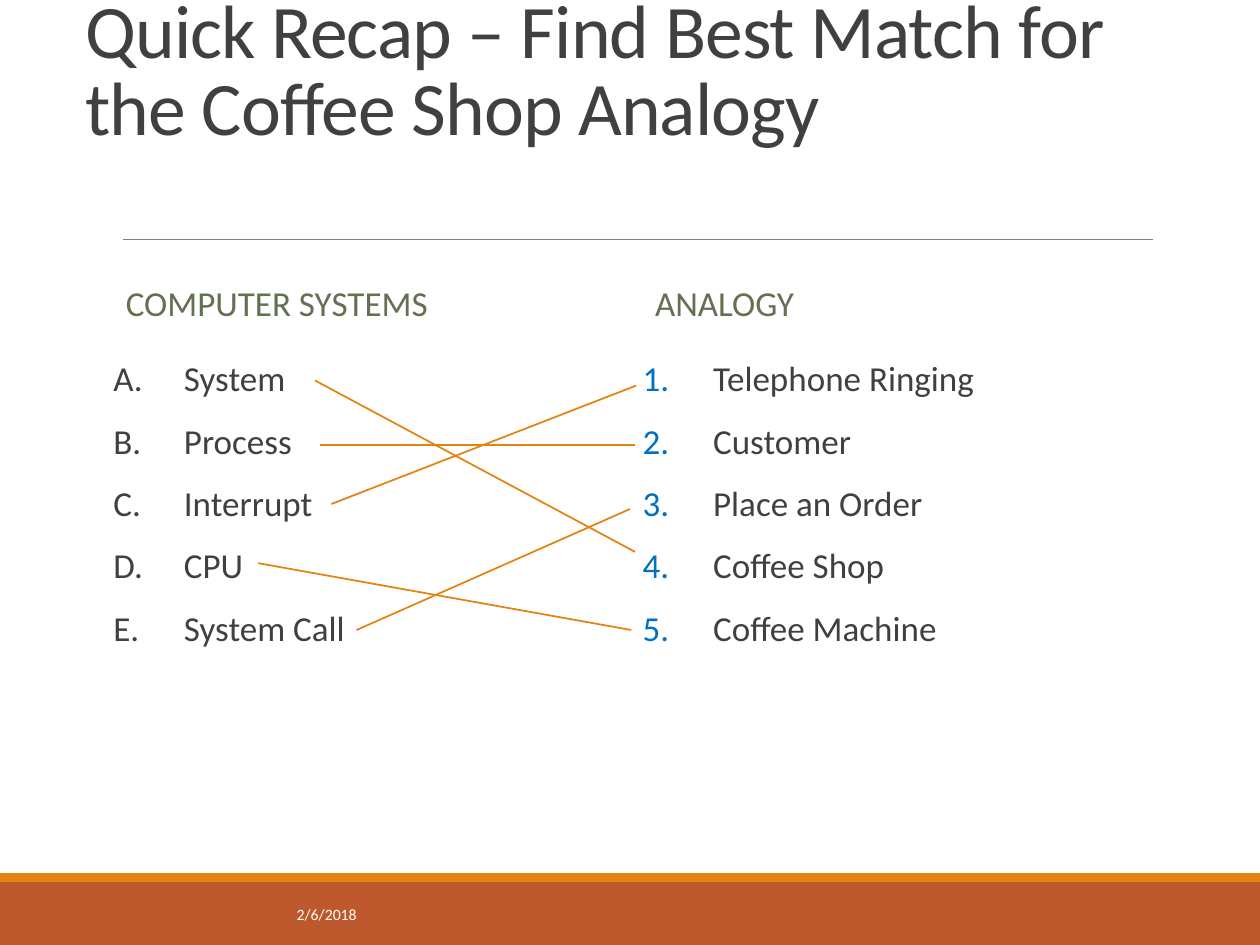
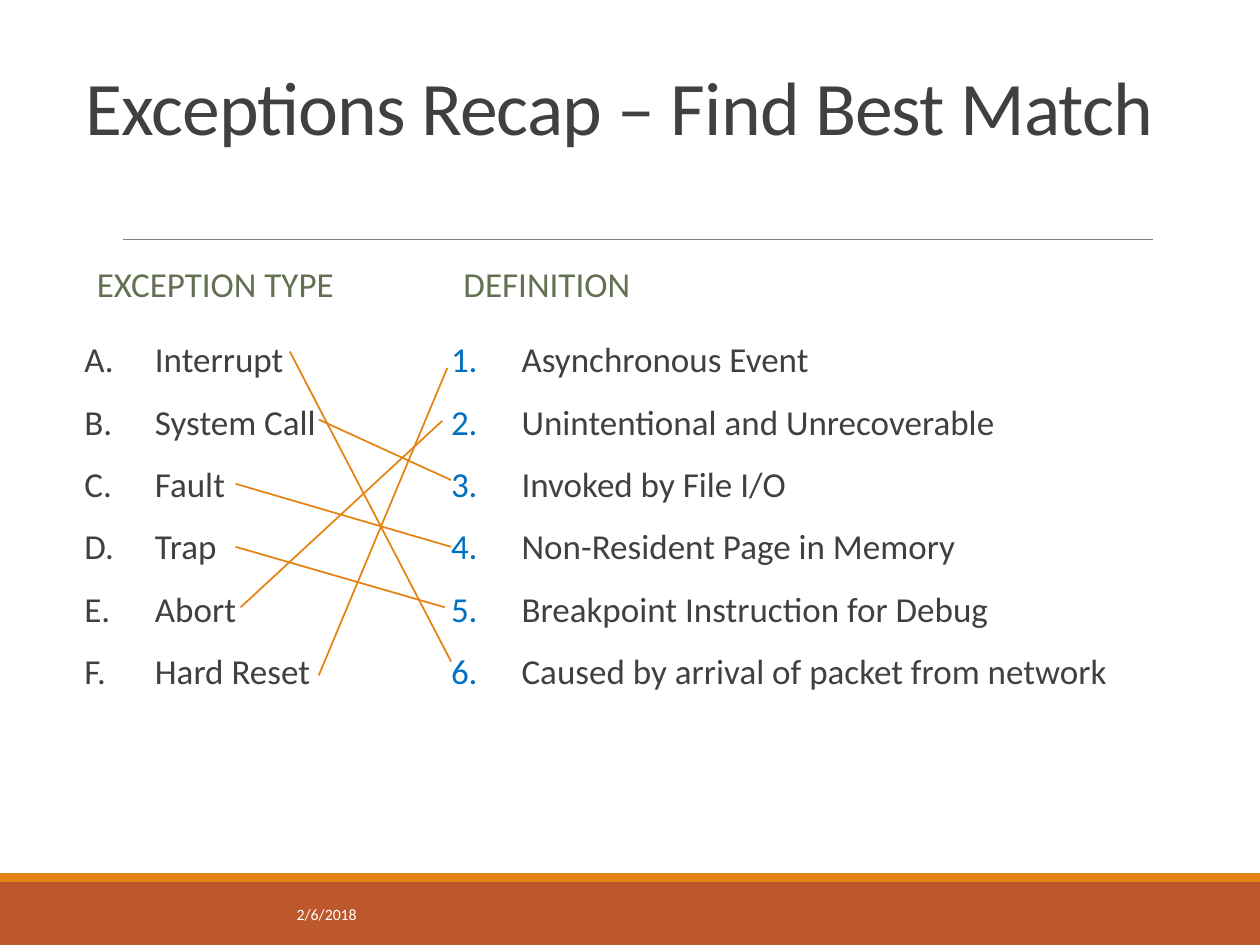
"""Build two matching-exercise recap slides."""
from dataclasses import dataclass

from lxml import etree
from pptx import Presentation
from pptx.dml.color import RGBColor
from pptx.enum.shapes import MSO_CONNECTOR, MSO_SHAPE
from pptx.enum.text import MSO_ANCHOR, PP_ALIGN
from pptx.oxml.ns import qn
from pptx.util import Inches, Pt

RECT = MSO_SHAPE.RECTANGLE
STRAIGHT = MSO_CONNECTOR.STRAIGHT
TOP, MIDDLE, BOTTOM = MSO_ANCHOR.TOP, MSO_ANCHOR.MIDDLE, MSO_ANCHOR.BOTTOM
LEFT, RIGHT = PP_ALIGN.LEFT, PP_ALIGN.RIGHT
LETTERS, NUMBERS = "alphaUcPeriod", "arabicPeriod"


@dataclass(frozen=True)
class Theme:
    """Colours, font and type sizes shared by the slides."""
    font: str = "Calibri"
    text: str = "404040"
    heading: str = "637052"
    number: str = "0070C0"
    accent: str = "E48312"
    band: str = "BD582C"
    rule: str = "808080"
    white: str = "FFFFFF"
    title_size: float = 43.2
    body_size: float = 20
    date_size: float = 9


THEME = Theme()


def rgb(color):
    """Turn a hex string into a colour."""
    return RGBColor.from_string(color)


def add_band(s, top, height, color):
    """Add a full-width band."""
    band = s.shapes.add_shape(RECT, 0, Inches(top), Inches(10), Inches(height))
    band.shadow.inherit = False
    band.fill.solid()
    band.fill.fore_color.rgb = rgb(color)
    band.line.fill.background()


def add_line(s, start, end, color=THEME.accent, width=1):
    """Add a straight line between two points."""
    line = s.shapes.add_connector(STRAIGHT, *map(Inches, start + end))
    line.line.color.rgb = rgb(color)
    line.line.width = Pt(width)
    etree.SubElement(line._element.spPr, qn("a:effectLst"))


def add_text_frame(s, box, anchor):
    """Add a wrapping text box and return its text frame."""
    tf = s.shapes.add_textbox(*map(Inches, box)).text_frame
    tf.word_wrap = True
    tf.vertical_anchor = anchor
    return tf


def write(p, text, size, color, align=LEFT):
    """Write one styled run into a paragraph and return the run."""
    p.alignment = align
    r = p.add_run()
    r.text = text
    r.font.name = THEME.font
    r.font.size = Pt(size)
    r.font.color.rgb = rgb(color)
    return r


def space_body(p):
    """Apply the body spacing to a paragraph."""
    p.line_spacing = 0.9
    p.space_before = Pt(12)
    p.space_after = Pt(2)


def number_paragraph(p, scheme, color):
    """Give a paragraph a hanging automatic number."""
    pPr = p._p.get_or_add_pPr()
    pPr.set("marL", str(Inches(0.56)))
    pPr.set("indent", str(-Inches(0.56)))
    bullet_color = etree.SubElement(pPr, qn("a:buClr"))
    etree.SubElement(bullet_color, qn("a:srgbClr"), val=color)
    etree.SubElement(pPr, qn("a:buAutoNum"), type=scheme)


def add_title(s, text):
    """Add the slide title."""
    p = add_text_frame(s, (0.58, 0.3, 9.17, 0.95), BOTTOM).paragraphs[0]
    p.line_spacing = 0.85
    r = write(p, text, THEME.title_size, THEME.text)
    r._r.get_or_add_rPr().set("spc", "-50")


def add_heading(s, box, text):
    """Add a column heading."""
    p = add_text_frame(s, box, MIDDLE).paragraphs[0]
    space_body(p)
    write(p, text, THEME.body_size, THEME.heading)


def add_list(s, box, items, scheme, bullet_color):
    """Add a numbered or lettered list."""
    tf = add_text_frame(s, box, TOP)
    tf.margin_left = tf.margin_right = 0
    for i, item in enumerate(items):
        p = tf.add_paragraph() if i else tf.paragraphs[0]
        space_body(p)
        write(p, item, THEME.body_size, THEME.text)
        number_paragraph(p, scheme, bullet_color)


def add_frame(s):
    """Add the footer bands, title rule and date."""
    add_band(s, 7, 0.5, THEME.band)
    add_band(s, 6.93, 0.07, THEME.accent)
    add_line(s, (0.98, 1.9), (9.15, 1.9), THEME.rule, 0.5)
    p = add_text_frame(s, (0.9, 7.06, 2.03, 0.4), MIDDLE).paragraphs[0]
    write(p, "2/6/2018", THEME.date_size, THEME.white, RIGHT)


def add_match_slide(prs, title, heading_rows, list_rows, columns, matches):
    """Add a slide that joins lettered terms to numbered answers."""
    s = prs.slides.add_slide(prs.slide_layouts[6])
    add_frame(s)
    add_title(s, title)
    styles = ((LETTERS, THEME.text), (NUMBERS, THEME.number))
    for (left, heading_width, list_width, heading, items), style in zip(columns, styles):
        heading_top, heading_height = heading_rows
        list_top, list_height = list_rows
        add_heading(s, (left, heading_top, heading_width, heading_height), heading)
        add_list(s, (left, list_top, list_width, list_height), items, *style)
    for start, end in matches:
        add_line(s, start, end)


def main():
    """Build and save the presentation."""
    prs = Presentation()
    prs.slide_width, prs.slide_height = Inches(10), Inches(7.5)
    add_match_slide(
        prs, "Quick Recap – Find Best Match for the Coffee Shop Analogy",
        (2.02, 0.81), (2.82, 3.59),
        (
            (0.9, 4.05, 4.05, "COMPUTER SYSTEMS",
             ("System", "Process", "Interrupt", "CPU", "System Call")),
            (5.1, 4.05, 4.05, "ANALOGY",
             ("Telephone Ringing", "Customer", "Place an Order",
              "Coffee Shop", "Coffee Machine")),
        ),
        (
            ((2.5, 3.02), (5.04, 4.38)),
            ((2.54, 3.53), (5.04, 3.53)),
            ((2.63, 4), (5.05, 3.06)),
            ((2.05, 4.47), (5.01, 5)),
            ((2.83, 5), (5, 4.04)),
        ),
    )
    add_match_slide(
        prs, "Exceptions Recap – Find Best Match",
        (1.92, 0.7), (2.67, 3.92),
        (
            (0.67, 2.17, 2.83, "EXCEPTION TYPE",
             ("Interrupt", "System Call", "Fault", "Trap", "Abort", "Hard Reset")),
            (3.58, 5.92, 6.33, "DEFINITION",
             ("Asynchronous Event", "Unintentional and Unrecoverable",
              "Invoked by File I/O", "Non-Resident Page in Memory",
              "Breakpoint Instruction for Debug",
              "Caused by arrival of packet from network")),
        ),
        (
            ((2.3, 2.79), (3.58, 5.25)),
            ((2.53, 3.33), (3.58, 3.81)),
            ((1.87, 3.84), (3.58, 4.34)),
            ((1.87, 4.34), (3.53, 4.82)),
            ((1.91, 4.82), (3.51, 3.34)),
            ((2.53, 5.36), (3.55, 2.92)),
        ),
    )
    prs.save("out.pptx")


if __name__ == "__main__":
    main()
